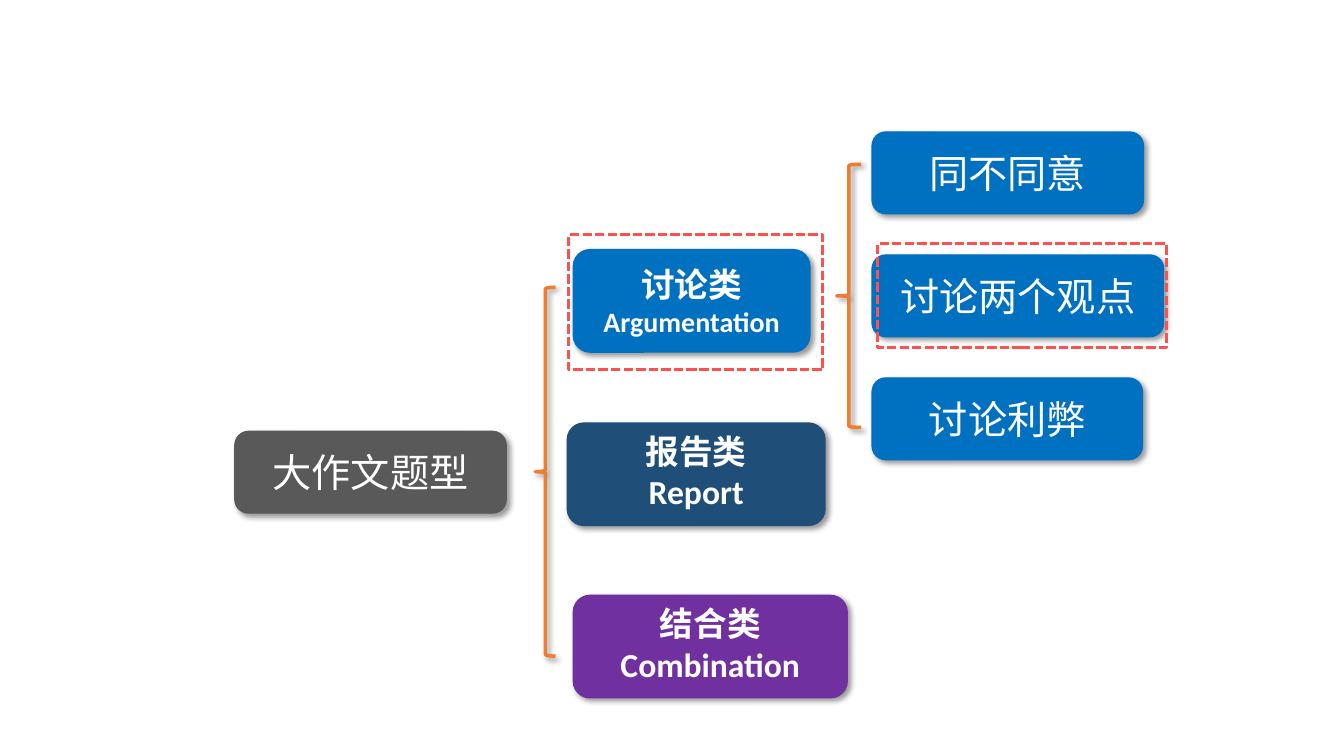
from lxml.etree import SubElement
from pptx import Presentation
from pptx.dml.color import RGBColor
from pptx.enum.dml import MSO_LINE
from pptx.enum.shapes import MSO_SHAPE
from pptx.enum.text import MSO_ANCHOR, PP_ALIGN
from pptx.oxml.ns import qn
from pptx.util import Pt

PX = 9144  # EMU per px, 100 px to the inch
FONT = "Calibri"
WHITE = RGBColor(0xFF, 0xFF, 0xFF)
GRAY = RGBColor(0x59, 0x59, 0x59)
BLUE = RGBColor(0x00, 0x70, 0xC0)
NAVY = RGBColor(0x1F, 0x4E, 0x79)
PURPLE = RGBColor(0x70, 0x30, 0xA0)
ORANGE = RGBColor(0xED, 0x7D, 0x31)
RED = RGBColor(0xFF, 0x50, 0x50)


def add_part(page, kind, box):
    part = page.shapes.add_shape(kind, *(length * PX for length in box))
    part.shadow.inherit = False
    return part


def add_shadow(part):
    effects = part._element.spPr.find(qn("a:effectLst"))
    shadow = SubElement(effects, qn("a:outerShdw"), blurRad=str(Pt(4)), dist=str(Pt(3)),
                        dir="2700000", algn="tl", rotWithShape="0")
    color = SubElement(shadow, qn("a:srgbClr"), val="000000")
    SubElement(color, qn("a:alpha"), val="40000")


def add_card(page, box, fill, lines, bold=False, outlined=True, lift=0):
    """Rounded card; lines holds (text, size) pairs, lift raises the text."""
    card = add_part(page, MSO_SHAPE.ROUNDED_RECTANGLE, box)
    add_shadow(card)
    card.fill.solid()
    card.fill.fore_color.rgb = fill
    if outlined:
        card.line.color.rgb = fill
        card.line.width = Pt(1)
    else:
        card.line.fill.background()
    frame = card.text_frame
    frame.word_wrap = True
    frame.vertical_anchor = MSO_ANCHOR.MIDDLE
    frame.margin_top = 0
    frame.margin_bottom = 2 * lift * PX
    for index, (text, size) in enumerate(lines):
        para = frame.add_paragraph() if index else frame.paragraphs[0]
        para.alignment = PP_ALIGN.CENTER
        span = para.add_run()
        span.text = text
        span.font.name = FONT
        span.font.size = Pt(size)
        span.font.bold = bold
        span.font.color.rgb = WHITE


def add_brace(page, box, curve):
    brace = add_part(page, MSO_SHAPE.LEFT_BRACE, box)
    add_shadow(brace)
    brace.adjustments[0] = curve
    brace.fill.background()
    brace.line.color.rgb = ORANGE
    brace.line.width = Pt(2.5)


def add_highlight(page, box):
    highlight = add_part(page, MSO_SHAPE.RECTANGLE, box)
    highlight.fill.background()
    highlight.line.color.rgb = RED
    highlight.line.width = Pt(2.25)
    highlight.line.dash_style = MSO_LINE.SQUARE_DOT


def add_topic(page, box):
    add_card(page, box, GRAY, [("大作文题型", 28)])


def add_categories(page, box):
    left, top, width, height = box
    card_height = 103
    pitch = (height - card_height) / 2
    categories = [
        (37, 236, BLUE, [("讨论类", 24), ("Argumentation", 20)], 0),
        (31, 257, NAVY, [("报告类", 24), ("Report", 24)], 3),
        (37, 273, PURPLE, [("结合类", 24), ("Combination", 24)], 3),
    ]
    add_brace(page, (left, top + 38, 20, 366), 0.08)
    for row, (indent, card_width, fill, lines, lift) in enumerate(categories):
        card_box = (left + indent, top + round(row * pitch), card_width, card_height)
        add_card(page, card_box, fill, lines, bold=True, outlined=False, lift=lift)
    # Marks the first category
    add_highlight(page, (left + 33, top - 14, 252, 134))


def add_questions(page, box):
    left, top, width, height = box
    card_height = 81
    pitch = (height - card_height) // 2
    questions = [("同不同意", 269), ("讨论两个观点", 289), ("讨论利弊", 268)]
    add_brace(page, (left, top + 32, 24, 261), 0.05)
    for row, (text, card_width) in enumerate(questions):
        card_box = (left + 35, top + row * pitch, card_width, card_height)
        add_card(page, card_box, BLUE, [(text, 28)])
    # Marks the second question
    add_highlight(page, (left + 40, top + pitch - 11, 287, 103))


def main():
    deck = Presentation()
    deck.slide_width = 1333 * PX
    deck.slide_height = 750 * PX
    page = deck.slides.add_slide(deck.slide_layouts[6])
    add_topic(page, (233, 428, 269, 81))
    add_categories(page, (531, 247, 310, 446))
    add_questions(page, (830, 131, 324, 325))
    deck.save("out.pptx")


if __name__ == "__main__":
    main()
